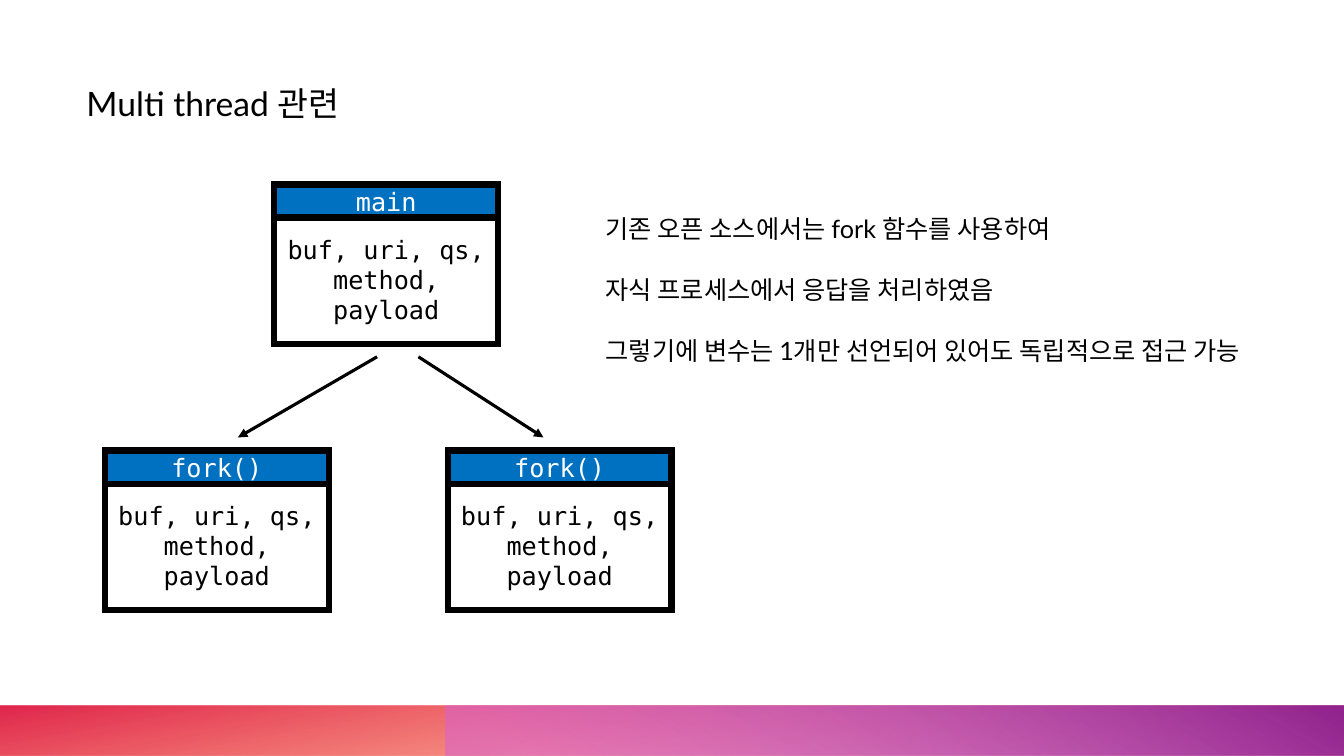
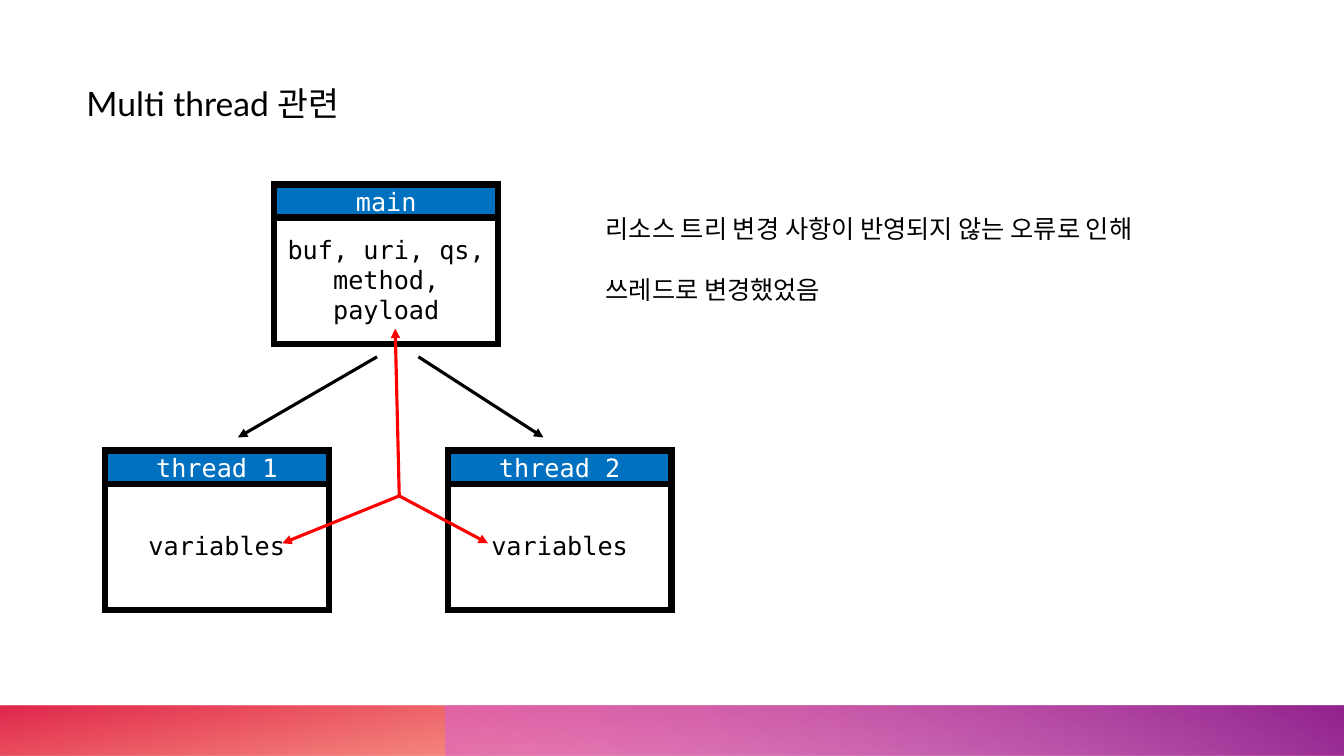
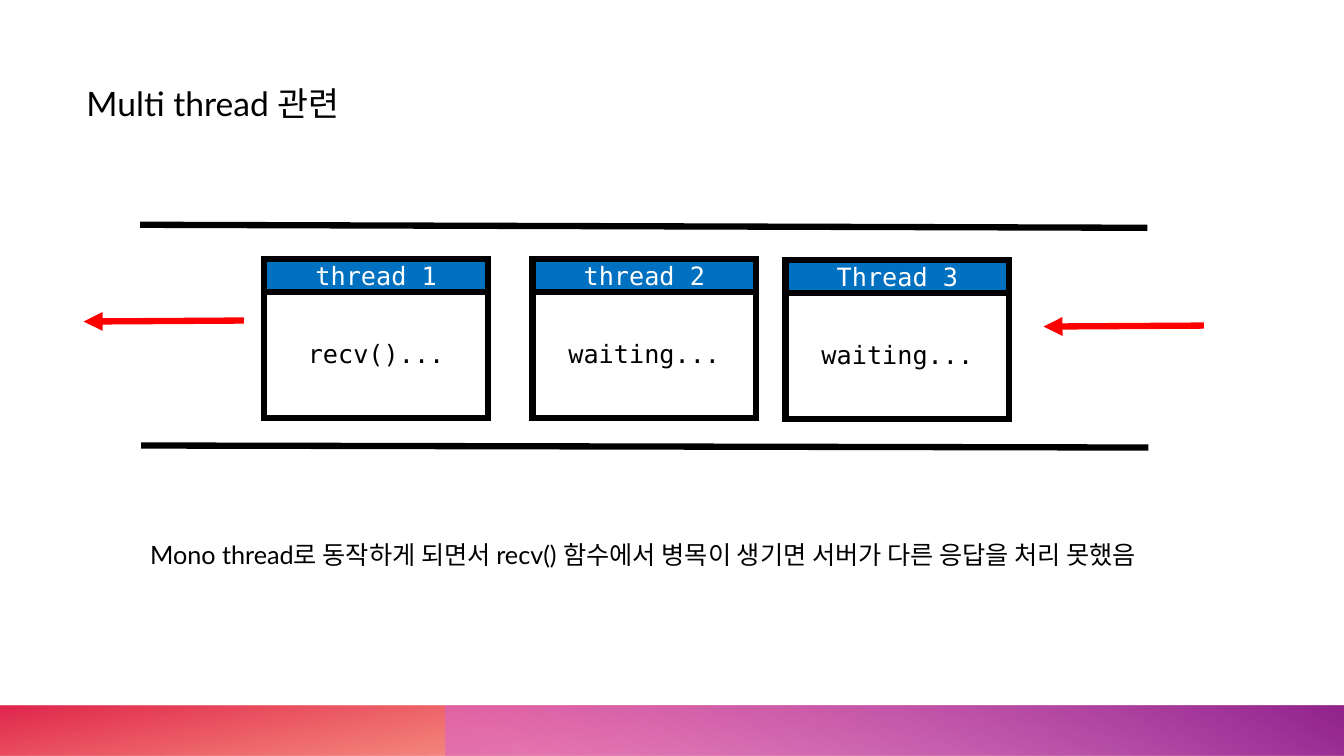
import pptx
import pptx.dml.color
import pptx.enum.shapes
import pptx.enum.text
import pptx.oxml.ns
import pptx.util
from lxml import etree

Inches = pptx.util.Inches
Pt = pptx.util.Pt
qn = pptx.oxml.ns.qn
RECTANGLE = pptx.enum.shapes.MSO_SHAPE.RECTANGLE
STRAIGHT = pptx.enum.shapes.MSO_CONNECTOR.STRAIGHT
ALIGN = pptx.enum.text.PP_ALIGN
ANCHOR = pptx.enum.text.MSO_ANCHOR

COLORS = {
    "black": "000000", "white": "FFFFFF", "header": "0070C0", "red": "FF0000",
    "orange": "FE4A00", "crimson": "DA002F", "pink": "D861D4", "purple": "92248E",
}
TEXT_FONT = "Lato"
CODE_FONT = "DejaVu Sans Mono"
TITLE = "Multi thread 관련"
SLIDE_W, SLIDE_H = 13.33, 7.5
BAND_H = 0.5
BOX_W, BOX_H, HEADER_H = 2.22, 1.58, 0.33
VARIABLES = "buf, uri, qs, method, payload"


def rgb(name):
    return pptx.dml.color.RGBColor.from_string(COLORS[name])


def add_run(paragraph, text, size, font, color):
    run = paragraph.add_run()
    run.text = text
    run.font.size = Pt(size)
    run.font.name = font
    run.font.color.rgb = rgb(color)


def add_text(slide, x, y, width, height, lines, size=18):
    """Each line is a paragraph, with one line's height between them."""
    frame = slide.shapes.add_textbox(
        Inches(x), Inches(y), Inches(width), Inches(height)).text_frame
    frame.word_wrap = True
    for index, line in enumerate(lines):
        paragraph = frame.paragraphs[0] if index == 0 else frame.add_paragraph()
        if index:
            paragraph.space_before = Pt(22)
        add_run(paragraph, line, size, TEXT_FONT, "black")


def add_band(slide, x, width, angle, stops):
    """Stops are (position, colour, opacity in percent); angle is counter-clockwise."""
    band = slide.shapes.add_shape(
        RECTANGLE, Inches(x), Inches(SLIDE_H - BAND_H), Inches(width), Inches(BAND_H))
    band.shadow.inherit = False
    band.line.fill.background()
    band.fill.gradient()
    band.fill.gradient_angle = angle
    for stop, (position, color, _) in zip(band.fill.gradient_stops, stops):
        stop.position = position
        stop.color.rgb = rgb(color)
    stop_colors = band.fill._xPr.iter(qn("a:srgbClr"))
    for stop_color, (_, _, opacity) in zip(stop_colors, stops):
        etree.SubElement(stop_color, qn("a:alpha")).set("val", str(opacity * 1000))


def add_base_slide(deck):
    slide = deck.slides.add_slide(deck.slide_layouts[6])
    add_band(slide, 0, SLIDE_W, 100, [(0.14, "orange", 28), (1, "crimson", 85)])
    add_band(slide, 4.42, SLIDE_W - 4.42, 60, [(0.09, "pink", 55), (0.99, "purple", 100)])
    add_text(slide, 0.76, 0.77, 5.84, 0.5, [TITLE], size=24)
    return slide


def add_line(slide, start, end, color="black", width=2.25, arrow=True):
    line = slide.shapes.add_connector(STRAIGHT, *map(Inches, (*start, *end)))
    line.line.color.rgb = rgb(color)
    line.line.width = Pt(width)
    if arrow:
        etree.SubElement(line.line._get_or_add_ln(), qn("a:tailEnd")).set("type", "triangle")
    etree.SubElement(line._element.spPr, qn("a:effectLst"))


def add_process(slide, x, y, name, content):
    """A box with a coloured header bar across its top."""
    process = slide.shapes.add_group_shape()
    parts = [
        (BOX_H, "white", content, "black", HEADER_H + 0.02),
        (HEADER_H, "header", name, "white", 0.05),
    ]
    for height, fill, text, text_color, top_margin in parts:
        part = process.shapes.add_shape(
            RECTANGLE, Inches(x), Inches(y), Inches(BOX_W), Inches(height))
        part.shadow.inherit = False
        part.fill.solid()
        part.fill.fore_color.rgb = rgb(fill)
        part.line.color.rgb = rgb("black")
        part.line.width = Pt(4.5)
        etree.SubElement(part.line._get_or_add_ln(), qn("a:miter")).set("lim", "800000")
        frame = part.text_frame
        frame.word_wrap = True
        frame.vertical_anchor = ANCHOR.MIDDLE
        frame.margin_top = Inches(top_margin)
        frame.paragraphs[0].alignment = ALIGN.CENTER
        add_run(frame.paragraphs[0], text, 18, CODE_FONT, text_color)


def add_process_tree(slide, x, y, children, shared=False):
    """Main above two children; shared adds red arrows between their variables."""
    child_y, child_step = 2.64, 3.4
    add_process(slide, x + 1.68, y, "main", VARIABLES)
    for index, (name, content) in enumerate(children):
        add_process(slide, x + index * child_step, y + child_y, name, content)
    for start_x, end_x in [(2.7, 1.32), (3.11, 4.35)]:
        add_line(slide, (x + start_x, y + 1.71), (x + end_x, y + 2.51))
    if shared:
        hub = (x + 2.92, y + 3.09)
        for end_x, end_y in [(2.88, 1.43), (3.8, 3.56), (1.76, 3.56)]:
            add_line(slide, hub, (x + end_x, y + end_y), "red")


def add_queue(slide, x, y):
    """Threads waiting between two rails, with arrows into and out of the queue."""
    for rail_x, rail_y, drop in [(0, 0, 0.03), (0.01, 2.19, 0.02)]:
        add_line(slide, (x + rail_x, y + rail_y),
                 (x + rail_x + 9.99, y + rail_y + drop), width=4.5, arrow=False)
    threads = [
        (1.23, 0.34, "thread 1", "recv()..."),
        (3.89, 0.34, "thread 2", "waiting..."),
        (6.4, 0.35, "Thread 3", "waiting..."),
    ]
    for thread_x, thread_y, name, state in threads:
        add_process(slide, x + thread_x, y + thread_y, name, state)
    for flow_x, flow_y in [(1.03, 0.95), (10.55, 1)]:
        add_line(slide, (x + flow_x, y + flow_y),
                 (x + flow_x - 1.59, y + flow_y + 0.01), "red", 4.5)


def build_fork_slide(deck):
    slide = add_base_slide(deck)
    add_process_tree(slide, 1.04, 1.83, [("fork()", VARIABLES)] * 2)
    add_text(slide, 5.91, 2.07, 7.2, 1.62, [
        "기존 오픈 소스에서는 fork 함수를 사용하여",
        "자식 프로세스에서 응답을 처리하였음",
        "그렇기에 변수는 1개만 선언되어 있어도 독립적으로 접근 가능",
    ])


def build_thread_slide(deck):
    slide = add_base_slide(deck)
    threads = [("thread 1", "variables"), ("thread 2", "variables")]
    add_process_tree(slide, 1.04, 1.83, threads, shared=True)
    add_text(slide, 5.91, 2.07, 7.2, 1.01, [
        "리소스 트리 변경 사항이 반영되지 않는 오류로 인해",
        "쓰레드로 변경했었음",
    ])


def build_queue_slide(deck):
    slide = add_base_slide(deck)
    add_queue(slide, 1.39, 2.23)
    add_text(slide, 1.39, 5.3, 10.83, 0.4, [
        "Mono thread로 동작하게 되면서 recv() 함수에서 병목이 생기면 서버가 다른 응답을 처리 못했음",
    ])


def main():
    deck = pptx.Presentation()
    deck.slide_width = Inches(SLIDE_W)
    deck.slide_height = Inches(SLIDE_H)
    build_fork_slide(deck)
    build_thread_slide(deck)
    build_queue_slide(deck)
    deck.save("out.pptx")


if __name__ == "__main__":
    main()
